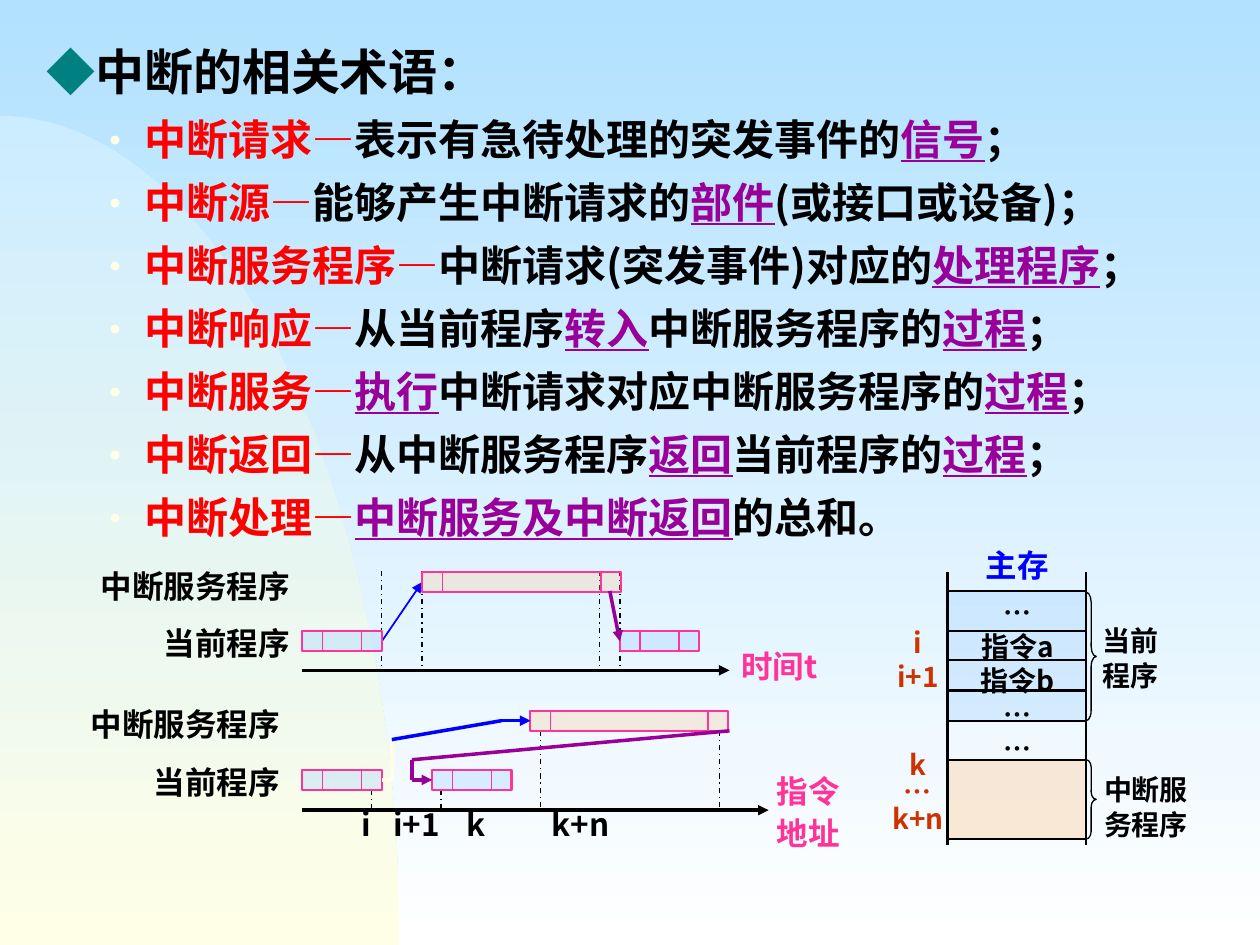
import math
from typing import NamedTuple

import lxml.etree
import pptx
import pptx.dml.color
import pptx.enum.dml
import pptx.enum.shapes
import pptx.enum.text
import pptx.oxml.ns
import pptx.util

Inches, Pt = pptx.util.Inches, pptx.util.Pt
qn = pptx.oxml.ns.qn
ALIGN = pptx.enum.text.PP_ALIGN
ANCHOR = pptx.enum.text.MSO_ANCHOR
SHAPE = pptx.enum.shapes.MSO_SHAPE

SANS, SERIF = "Noto Sans CJK SC", "Times New Roman"
BLACK, RED, PURPLE, BLUE = "000000", "FF0000", "990099", "0000FF"
PINK, RUST, CREAM, TEAL = "FF3399", "CC3300", "FFFFE7", "008080"
SKY, PEACH = "99CCFF", "FFCC99"


class Run(NamedTuple):
    text: str
    color: str = BLACK
    under: bool = False
    font: str = SANS


class Bar(NamedTuple):
    x: float
    y: float
    w: float
    color: str


class Line(NamedTuple):
    x1: float
    y1: float
    x2: float
    y2: float
    color: str = BLACK
    width: float = 0.75
    dash: bool = False
    arrow: bool = False


class Term(NamedTuple):
    name: str
    text: str  # key words stand between underscores


TERMS = [
    Term("中断请求", "表示有急待处理的突发事件的_信号_；"),
    Term("中断源", "能够产生中断请求的_部件_(或接口或设备)；"),
    Term("中断服务程序", "中断请求(突发事件)对应的_处理程序_；"),
    Term("中断响应", "从当前程序_转入_中断服务程序的_过程_；"),
    Term("中断服务", "_执行_中断请求对应中断服务程序的_过程_；"),
    Term("中断返回", "从中断服务程序_返回_当前程序的_过程_；"),
    Term("中断处理", "_中断服务及中断返回_的总和。"),
]


def rgb(code: str):
    return pptx.dml.color.RGBColor.from_string(code)


def add(parent, tag: str, **attrs: str):
    return lxml.etree.SubElement(parent, qn(tag), attrs)


def blend(fill, top: str, low: str) -> None:
    """Fill with a gradient running from top to bottom."""
    fill.gradient()
    fill.gradient_angle = 270
    for stop, code in zip(fill.gradient_stops, (top, low)):
        stop.color.rgb = rgb(code)


def add_run(para, run: Run, size: float) -> None:
    item = para.add_run()
    item.text = run.text
    font = item.font
    font.size, font.bold, font.name = Pt(size), True, run.font
    font.color.rgb = rgb(run.color)
    if run.under:
        font.underline = True
    add(item._r.get_or_add_rPr(), "a:ea", typeface=SANS)


def add_text(to, box: tuple, paras: list, *, size=18, color=BLACK, lead=(24,),
             align=ALIGN.CENTER, anchor=ANCHOR.TOP, pad=(0.02, 0.01)):
    """Write strings or run lists; the last lead (points) serves all later lines."""
    frame = to.add_textbox(*map(Inches, box)).text_frame
    frame.word_wrap, frame.vertical_anchor = True, anchor
    frame.margin_left = frame.margin_right = Inches(pad[0])
    frame.margin_top = frame.margin_bottom = Inches(pad[1])
    for i, runs in enumerate(paras):
        para = frame.add_paragraph() if i else frame.paragraphs[0]
        para.alignment = align
        para.line_spacing = Pt(lead[min(i, len(lead) - 1)])
        for run in [Run(runs, color)] if isinstance(runs, str) else runs:
            add_run(para, run, size)
    return frame


def add_line(to, line: Line) -> None:
    link = to.add_connector(pptx.enum.shapes.MSO_CONNECTOR.STRAIGHT, *map(Inches, line[:4]))
    link.line.color.rgb = rgb(line.color)
    link.line.width = Pt(line.width)
    if line.dash:
        link.line.dash_style = pptx.enum.dml.MSO_LINE.DASH_DOT
    if line.arrow:
        add(link.line._get_or_add_ln(), "a:tailEnd", type="triangle")
    add(link._element.spPr, "a:effectLst")


def add_rect(to, box: tuple, color: str, alpha: int, edge: str = ""):
    rect = to.add_shape(SHAPE.RECTANGLE, *map(Inches, box))
    rect.shadow.inherit = False
    rect.fill.solid()
    rect.fill.fore_color.rgb = rgb(color)
    add(rect._element.spPr.find(qn("a:solidFill"))[0], "a:alpha", val=str(alpha * 1000))
    if edge:
        rect.line.color.rgb, rect.line.width = rgb(edge), Pt(1.25)
    else:
        rect.line.fill.background()


def add_bar(to, bar: Bar) -> None:
    """Draw a program bar with its first and last instruction marked off."""
    cell = 0.16
    add_rect(to, (bar.x, bar.y, bar.w, cell), bar.color, 30, PINK)
    for x in (bar.x + cell, bar.x + bar.w - cell):
        add_line(to, Line(x, bar.y, x, bar.y + cell, PINK))


def add_brace(to, y: float, high: float, bend: float) -> None:
    brace = to.add_shape(SHAPE.RIGHT_BRACE, *map(Inches, (8.62, y, 0.08, high)))
    brace.shadow.inherit = False
    brace.fill.background()
    brace.line.color.rgb, brace.line.width = rgb(BLACK), Pt(0.75)
    brace.adjustments[0] = bend


def add_curve(to) -> None:
    """Draw the quarter ellipse in the lower left corner."""
    turns = [math.pi / 2 * i / 60 for i in range(61)]
    pts = [(Inches(3.17 * math.sin(t)), Inches(7.5 - 6.58 * math.cos(t))) for t in turns]
    pen = to.build_freeform(*pts[0])
    pen.add_line_segments(pts[1:] + [(0, Inches(7.5))])
    curve = pen.convert_to_shape()
    curve.shadow.inherit = False
    curve.line.fill.background()
    blend(curve.fill, "CCECFF", CREAM)


def add_terms(to) -> None:
    paras = [[Run("◆", TEAL, font=SERIF), Run("中断的相关术语：")]]
    for term in TERMS:
        parts = enumerate(term.text.split("_"))
        paras.append([Run(term.name + "—", RED)] + [
            Run(part, PURPLE if i % 2 else BLACK, bool(i % 2)) for i, part in parts if part])
    frame = add_text(to, (0.2, 0.13, 9.61, 4.19), paras, size=24, lead=(44.5, 36),
                     align=ALIGN.LEFT, pad=(0.1, 0.05))
    head, *rows = frame.paragraphs
    head._p.get_or_add_pPr().set("marL", str(Inches(0.07)))
    for run in head.runs:
        run.font.size = Pt(28)
    for row in rows:
        props = row._p.get_or_add_pPr()
        props.set("marL", str(Inches(0.85)))
        props.set("indent", str(Inches(-0.4)))
        add(add(props, "a:buClr"), "a:srgbClr", val=CREAM)
        add(props, "a:buFont", typeface=SANS)
        add(props, "a:buChar", char="·")


def add_names(to, x: float, y: float, w: float) -> None:
    add_text(to, (x, y, w, 0.79), ["中断服务程序", "当前程序"], lead=(23.5, 33), align=ALIGN.RIGHT)


def add_time(to) -> None:
    add_line(to, Line(2.4, 5.32, 5.79, 5.32, width=2, arrow=True))
    add_text(to, (5.79, 5.09, 0.79, 0.32), ["时间t"], color=PINK)
    add_names(to, 0.75, 4.46, 1.57)
    add_line(to, Line(3.03, 5.09, 3.35, 4.62, BLUE, 1, arrow=True))
    for x in (3.03, 3.35, 4.76, 4.92):
        add_line(to, Line(x, 4.53, x, 5.32, dash=True))
    for bar in (Bar(2.4, 5.01, 0.63, SKY), Bar(3.35, 4.54, 1.58, PEACH),
                Bar(4.92, 5.01, 0.63, SKY)):
        add_bar(to, bar)
    add_line(to, Line(4.84, 4.69, 4.92, 5.09, PURPLE, 2, arrow=True))


def add_store(to) -> None:
    left, right, lead = 7.52, 8.62, (21, 19.5)
    add_rect(to, (left, 6.03, 1.1, 0.63), PEACH, 40)
    add_rect(to, (left, 4.7, 1.1, 1.02), SKY, 30)
    add_text(to, (7.6, 4.69, 0.95, 1.02), ["…", "指令a", "指令b", "…", "…"], size=16, lead=lead)
    for x in (left, right):
        add_line(to, Line(x, 4.54, x, 6.71, width=1.5))
    for y in (4.69, 5.01, 5.24, 5.48, 5.72, 6.03, 6.66):
        add_line(to, Line(left, y, right, y, width=1.25))
    add_text(to, (8.7, 6.11, 0.79, 0.55), ["中断服务程序"], size=16, lead=(20,))
    add_text(to, (8.7, 4.93, 0.55, 0.55), ["当前程序"], size=16, lead=(20,))
    add_text(to, (7.05, 4.93, 0.47, 0.55), ["i", "i+1"], size=16, color=RUST, lead=lead)
    add_text(to, (7.05, 5.95, 0.47, 0.71), ["k", "…", "k+n"], size=16, color=RUST,
             lead=(15.5,), anchor=ANCHOR.MIDDLE)
    add_text(to, (7.76, 4.3, 0.63, 0.31), ["主存"], color=BLUE, lead=(23.5,))
    add_brace(to, 4.7, 1.02, 1)
    add_brace(to, 6.03, 0.63, 0.75)


def add_space(to) -> None:
    add_line(to, Line(2.4, 6.43, 6.1, 6.43, width=2, arrow=True))
    add_text(to, (6.1, 6.11, 0.63, 0.63), ["指令", "地址"], color=PINK, anchor=ANCHOR.MIDDLE)
    marks = add_text(to, (2.8, 6.43, 3.31, 0.24), ["i\ti+1\tk\tk+n"], lead=(20,),
                     align=ALIGN.LEFT, anchor=ANCHOR.MIDDLE, pad=(0.07, 0.01))
    tabs = add(marks.paragraphs[0]._p.get_or_add_pPr(), "a:tabLst")
    for stop in (0.25, 0.83, 1.51):
        add(tabs, "a:tab", pos=str(Inches(stop)), algn="l")
    for x, y in ((2.95, 6.27), (3.5, 6.27), (4.29, 5.8), (5.71, 5.8)):
        add_line(to, Line(x, y, x, 6.43, dash=True))
    for bar in (Bar(2.4, 6.11, 0.63, SKY), Bar(3.43, 6.11, 0.63, SKY),
                Bar(4.21, 5.64, 1.57, PEACH)):
        add_bar(to, bar)
    add_names(to, 0.59, 5.56, 1.65)
    routes = [
        (CREAM, False, [(3.03, 6.19), (3.11, 6.19), (3.11, 5.88)]),
        (BLUE, True, [(3.11, 5.87), (3.98, 5.72), (4.21, 5.72)]),
        (PURPLE, True, [(5.79, 5.8), (3.27, 6.03), (3.27, 6.19), (3.43, 6.19)]),
    ]
    for color, arrow, pts in routes:
        for a, b in zip(pts, pts[1:]):
            add_line(to, Line(*a, *b, color, 2, arrow=arrow and b == pts[-1]))


def main() -> None:
    deck = pptx.Presentation()
    deck.slide_width, deck.slide_height = Inches(10), Inches(7.5)
    slide = deck.slides.add_slide(deck.slide_layouts[6])
    blend(slide.background.fill, "B1E1FF", "FFFFFF")
    add_curve(slide.shapes)
    add_terms(slide.shapes)
    for draw in (add_time, add_store, add_space):
        draw(slide.shapes.add_group_shape().shapes)
    deck.save("out.pptx")


if __name__ == "__main__":
    main()
